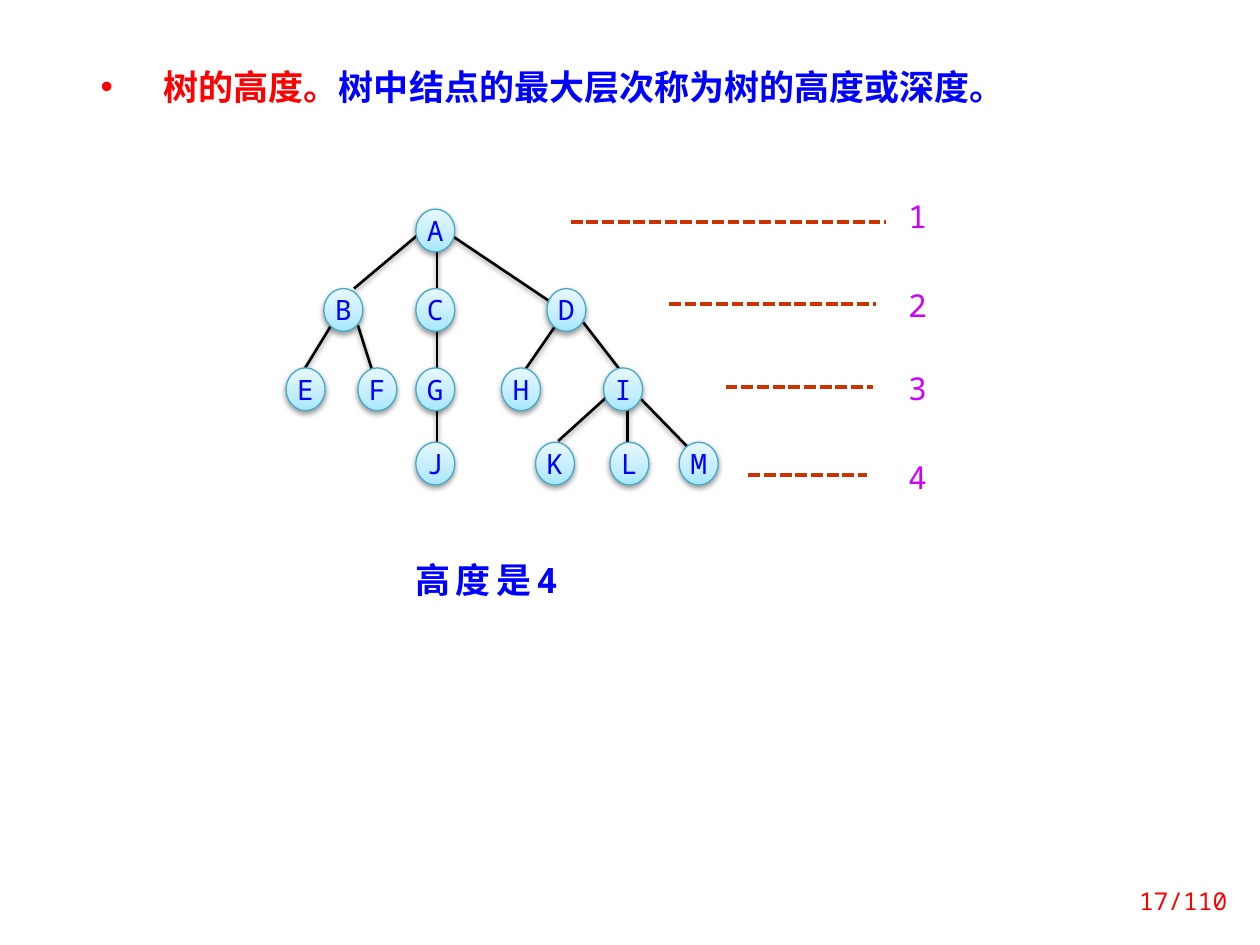
from lxml.etree import SubElement
from pptx import Presentation
from pptx.dml.color import RGBColor
from pptx.enum.dml import MSO_LINE
from pptx.enum.shapes import MSO_CONNECTOR, MSO_SHAPE
from pptx.enum.text import MSO_ANCHOR, PP_ALIGN
from pptx.oxml.ns import qn
from pptx.util import Inches, Pt

COLORS = {
    "red": "FF0000", "blue": "0000FF", "level": "CC00FF", "dash": "CC3300",
    "edge": "000000", "outline": "46AAC5",
}
NODE_STOPS = [(0, "A7E6FF"), (35, "C1EDFF"), (100, "E7F8FF")]
SANS, MONO = "Noto Sans CJK SC", "Noto Sans Mono"
NODE_W, NODE_H = 0.31, 0.34

# Offsets within the tree: row tops, node letters with their lefts, and edge ends
ROWS = [
    (0, {"A": 1.03}),
    (0.63, {"B": 0.3, "C": 1.03, "D": 2.07}),
    (1.26, {"E": 0, "F": 0.57, "G": 1.03, "H": 1.71, "I": 2.52}),
    (1.85, {"J": 1.03, "K": 1.98, "L": 2.57, "M": 3.12}),
]
EDGES = {
    "AB": (1.04, 0.21, 0.54, 0.63), "AJ": (1.2, 0.32, 1.2, 1.9),
    "AD": (1.33, 0.22, 2.09, 0.73), "BE": (0.36, 0.92, 0.14, 1.28),
    "BF": (0.57, 0.92, 0.7, 1.33), "DH": (2.17, 0.88, 1.88, 1.3),
    "DI": (2.36, 0.9, 2.67, 1.3), "IK": (2.58, 1.46, 2.16, 1.84),
    "IL": (2.71, 1.59, 2.71, 1.9), "IM": (2.82, 1.51, 3.19, 1.89),
}
# Offsets within the level marks: dash start, dash end, dash y, label top
LEVELS = [
    (0, 2.5, 0.19, 0), (0.78, 2.42, 0.84, 0.71),
    (1.23, 2.4, 1.5, 1.37), (1.41, 2.35, 2.2, 2.07),
]


def rgb(name):
    return RGBColor.from_string(COLORS[name])


def write(p, text, size=20, color="blue", font=MONO, bold=False, spacing=None):
    r = p.add_run()
    r.text = text
    r.font.size, r.font.bold, r.font.name = Pt(size), bold, font
    r.font.color.rgb = rgb(color)
    rPr = r.font._element
    SubElement(rPr, qn("a:ea"), typeface=font)
    if spacing:
        rPr.set("spc", str(spacing * 100))


def text_box(s, left, top, width, height):
    tf = s.shapes.add_textbox(
        Inches(left), Inches(top), Inches(width), Inches(height)).text_frame
    tf.word_wrap = True
    return tf


def add_shadow(sp):
    spPr = sp._element.spPr
    effects = spPr.find(qn("a:effectLst"))
    if effects is None:
        effects = SubElement(spPr, qn("a:effectLst"))
    shadow = SubElement(effects, qn("a:outerShdw"), blurRad=str(Pt(3.1)),
                        dist=str(Pt(1.6)), dir="5400000", rotWithShape="0")
    color = SubElement(shadow, qn("a:srgbClr"), val="000000")
    SubElement(color, qn("a:alpha"), val="38000")


def add_line(shapes, x1, y1, x2, y2, color, width):
    line = shapes.add_connector(
        MSO_CONNECTOR.STRAIGHT, Inches(x1), Inches(y1), Inches(x2), Inches(y2))
    line.line.color.rgb = rgb(color)
    line.line.width = Pt(width)
    SubElement(line._element.spPr, qn("a:effectLst"))
    return line


def add_node(shapes, left, top, letter):
    sp = shapes.add_shape(MSO_SHAPE.OVAL, Inches(left), Inches(top),
                          Inches(NODE_W), Inches(NODE_H))
    sp.fill.gradient()
    sp.fill.gradient_angle = 90
    stops = sp._element.spPr.find(".//" + qn("a:gsLst"))
    for stop in list(stops):
        stops.remove(stop)
    for pos, color in NODE_STOPS:
        stop = SubElement(stops, qn("a:gs"), pos=str(pos * 1000))
        SubElement(stop, qn("a:srgbClr"), val=color)
    sp.line.color.rgb = rgb("outline")
    sp.line.width = Pt(0.75)
    sp.shadow.inherit = False
    add_shadow(sp)
    tf = sp.text_frame
    tf.margin_left = tf.margin_right = tf.margin_top = tf.margin_bottom = 0
    tf.vertical_anchor = MSO_ANCHOR.MIDDLE
    p = tf.paragraphs[0]
    p.alignment, p.line_spacing = PP_ALIGN.CENTER, Pt(19)
    write(p, letter, size=16)


def definition(s, left, top, width, height):
    p = text_box(s, left, top, width, height).paragraphs[0]
    pPr = p._p.get_or_add_pPr()
    pPr.set("marL", str(Inches(0.5)))
    pPr.set("indent", str(-Inches(0.5)))
    SubElement(pPr, qn("a:buFont"), typeface="Arial")
    SubElement(pPr, qn("a:buChar"), char="•")
    write(p, "树的高度", color="red", font=SANS, bold=True)
    write(p, "。", color="red", bold=True)
    write(p, "树中结点的最大层次称为树的高度或深度。", font=SANS, bold=True)


def tree(s, left, top):
    shapes = s.shapes.add_group_shape().shapes
    for x1, y1, x2, y2 in EDGES.values():
        add_shadow(add_line(shapes, left + x1, top + y1, left + x2, top + y2,
                            "edge", 1.5))
    for y, nodes in ROWS:
        for letter, x in nodes.items():
            add_node(shapes, left + x, top + y, letter)


def level_marks(s, left, top):
    for level, (x1, x2, y, label_y) in enumerate(LEVELS, 1):
        dash = add_line(s.shapes, left + x1, top + y, left + x2, top + y,
                        "dash", 2.25)
        dash.line.dash_style = MSO_LINE.SQUARE_DOT
        p = text_box(s, left + 2.58, top + label_y, 0.39, 0.35).paragraphs[0]
        p.line_spacing = 0.8
        write(p, str(level), size=18, color="level")


def conclusion(s, left, top, width, height):
    p = text_box(s, left, top, width, height).paragraphs[0]
    write(p, "高度是4", bold=True, spacing=3)


def page_number(s, left, top, width, height):
    tf = text_box(s, left, top, width, height)
    tf.vertical_anchor = MSO_ANCHOR.MIDDLE
    p = tf.paragraphs[0]
    p.alignment = PP_ALIGN.RIGHT
    write(p, "17/110", size=14, color="red")


def main():
    prs = Presentation()
    prs.slide_width, prs.slide_height = Inches(10), Inches(7.5)
    s = prs.slides.add_slide(prs.slide_layouts[6])
    definition(s, 0.7, 0.47, 8.52, 0.44)
    conclusion(s, 3.2, 4.38, 1.8, 0.44)
    level_marks(s, 4.53, 1.57)
    tree(s, 2.27, 1.66)
    page_number(s, 8.7, 6.95, 1.14, 0.4)
    prs.save("out.pptx")


if __name__ == "__main__":
    main()
